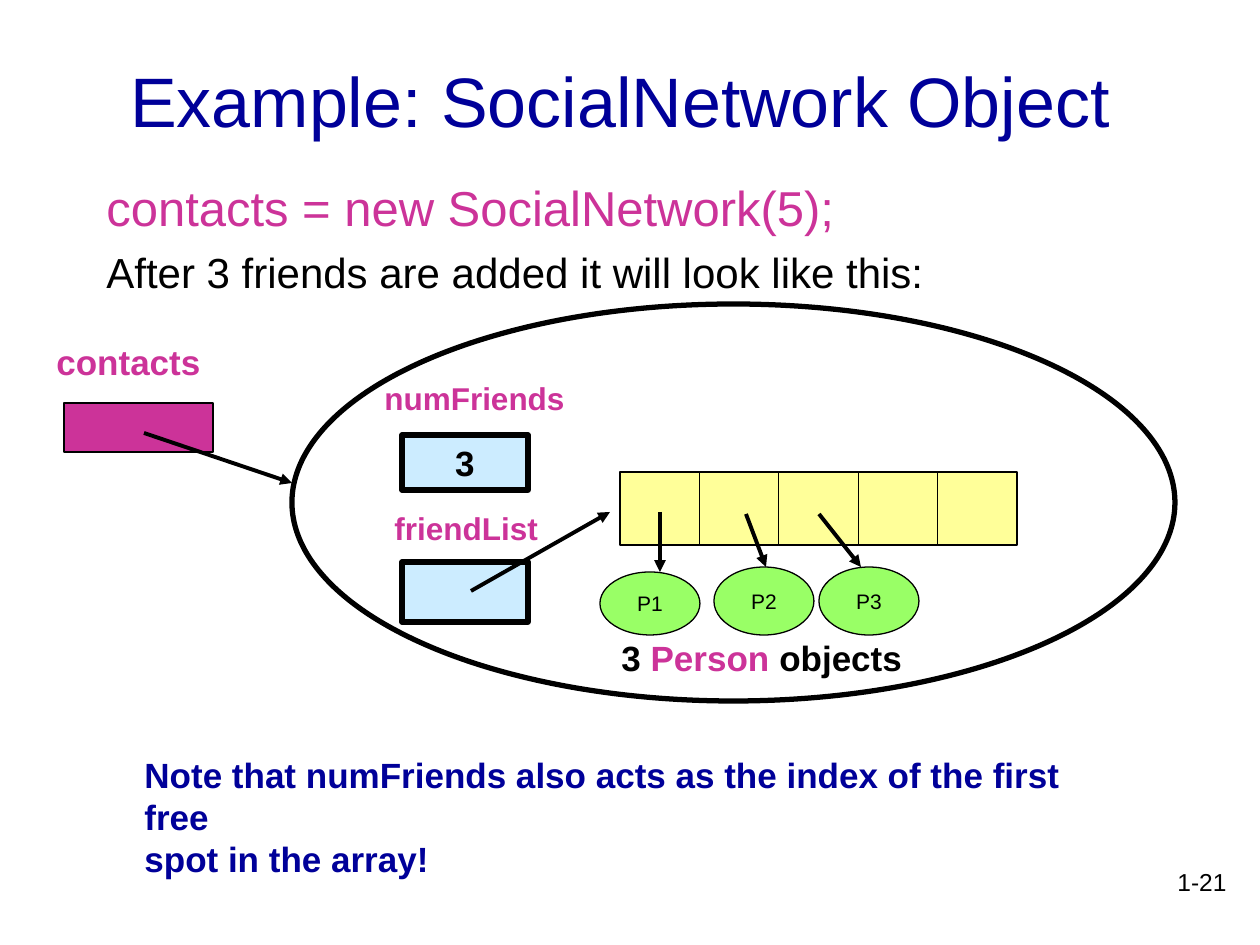
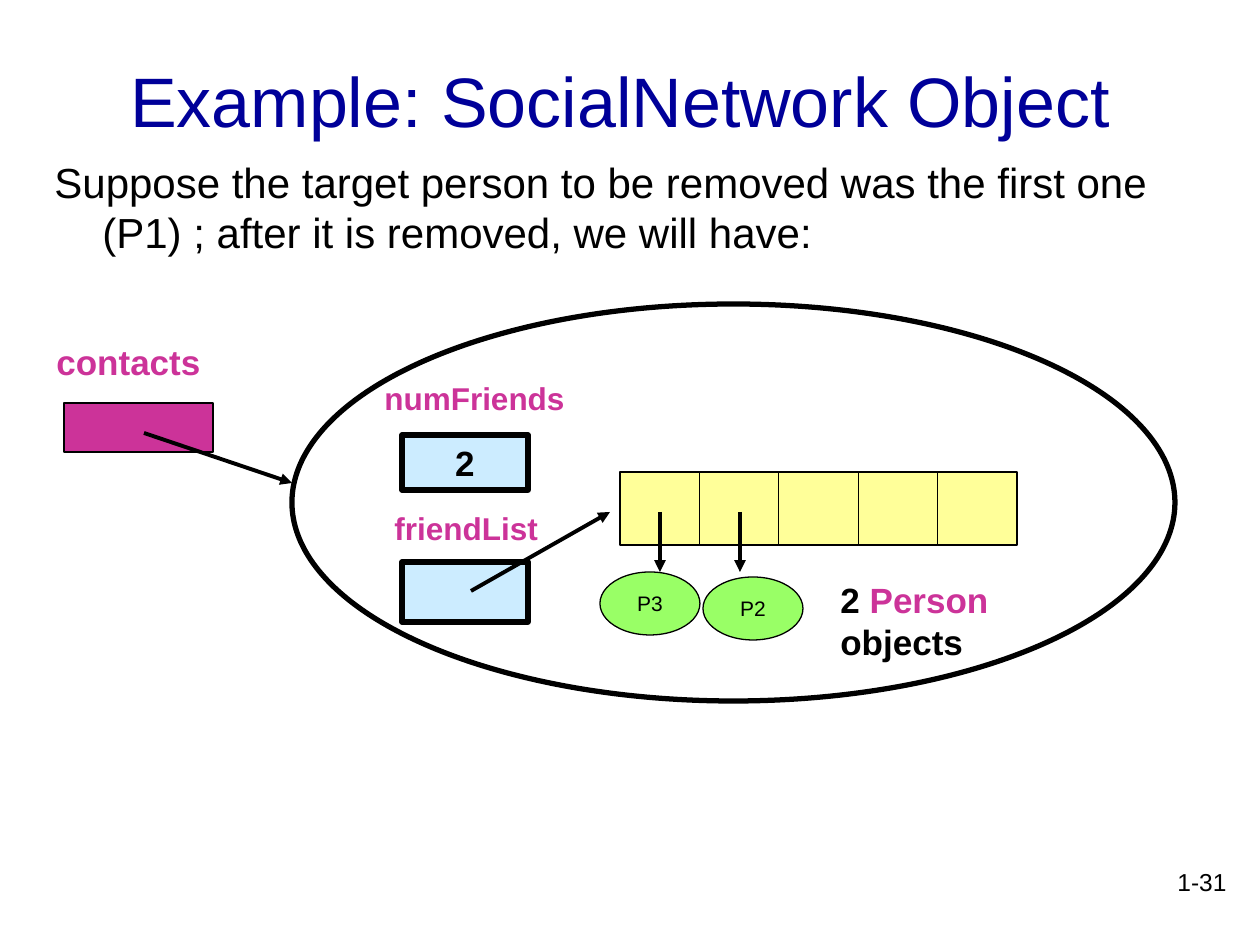
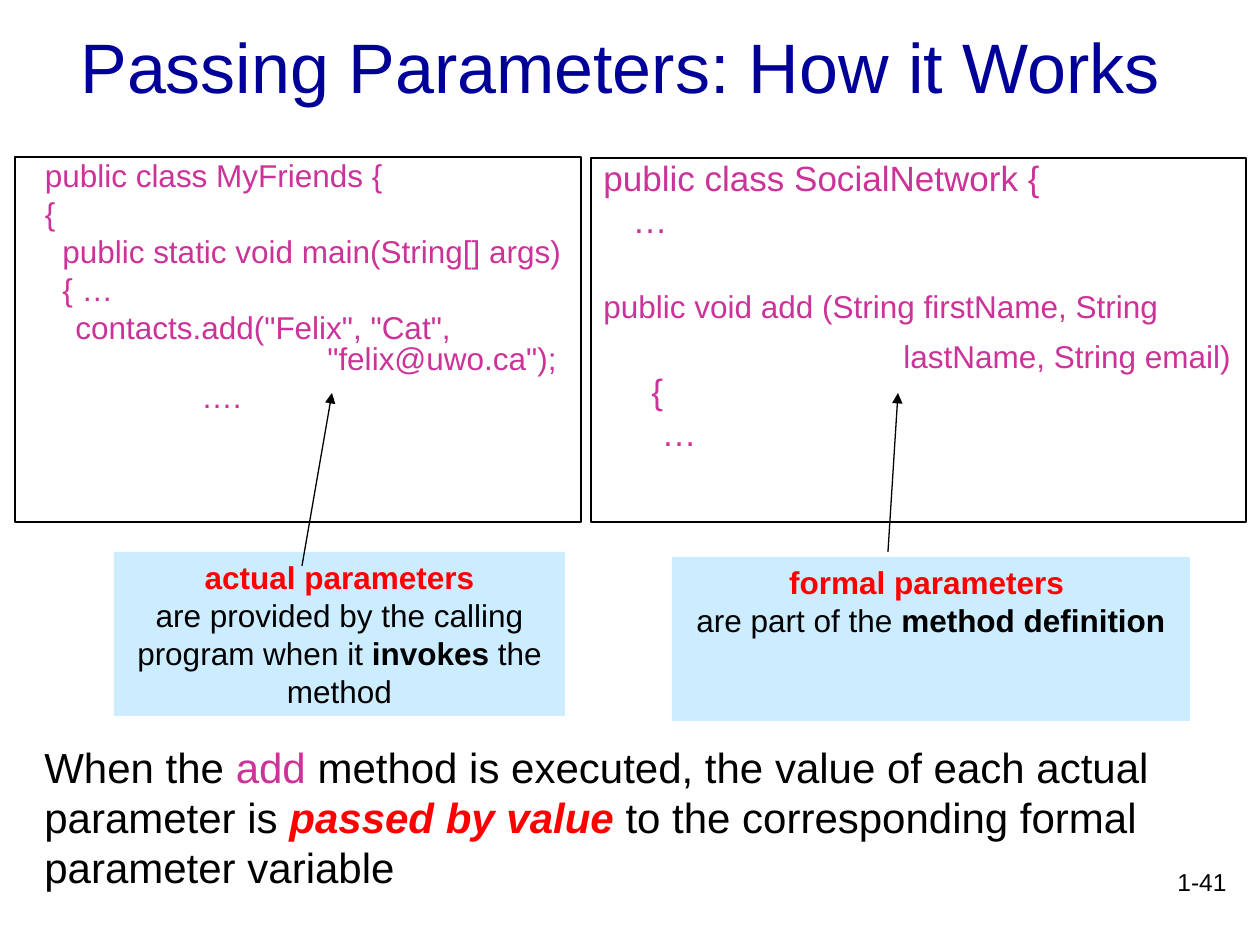
from dataclasses import dataclass

from lxml import etree
from pptx import Presentation, util as u
from pptx.dml.color import RGBColor
from pptx.enum import shapes, text
from pptx.oxml.ns import qn

BLACK, NAVY, PINK, RED = "000000", "000099", "CC3399", "FF0000"
SKY, YELLOW, GREEN = "CCECFF", "FFFF99", "99FF66"
FONT = "Arial"
RECT, OVAL = shapes.MSO_SHAPE.RECTANGLE, shapes.MSO_SHAPE.OVAL
LEFT, CENTER, RIGHT = text.PP_ALIGN.LEFT, text.PP_ALIGN.CENTER, text.PP_ALIGN.RIGHT


@dataclass
class Para:
    """A paragraph: runs are (text, colour, style); indents in px, space in pt."""
    runs: list
    size: int
    left: int = 0
    hang: int = 0
    before: float = 0
    spacing: float = 1


def line_of(words, size, color=BLACK, style="", **layout):
    return Para([(words, color, style)], size, **layout)


# Object diagrams: person = (label, box), arrow = (from x, from y, to x, to y)
DIAGRAMS = [
    dict(
        title="Example: SocialNetwork Object", number="1-21",
        intro=((94, 171, 1102, 140), [
            line_of("contacts = new SocialNetwork(5);", 28, PINK),
            line_of("After 3 friends are added it will look like this:", 24, before=6)]),
        people=[("P1", (600, 572, 100, 63)), ("P2", (714, 567, 100, 68)),
                ("P3", (819, 567, 100, 68))],
        arrows=[(660, 512, 660, 572), (746, 514, 766, 567), (819, 514, 861, 567)],
        caption=(609, 630, 428, 55),
        note=["Note that numFriends also acts as the index of the first free",
              "spot in the array!"]),
    dict(
        title="Example: SocialNetwork Object", number="1-31",
        intro=((42, 150, 1155, 140), [
            line_of("Suppose the target person to be removed was the first one (P1) ; "
                    "after it is removed, we will have:", 24, left=48, hang=48)]),
        people=[("P3", (600, 572, 100, 63)), ("P2", (703, 577, 100, 63))],
        arrows=[(660, 512, 660, 572), (740, 512, 740, 572)],
        caption=(828, 572, 208, 97),
        note=[]),
]
LABELS = [("contacts", 20, (44, 334, 200, 55)),
          ("friendList", 18, (382, 503, 220, 50)),
          ("numFriends", 18, (372, 373, 222, 50))]
ARRAY_BOX, ARRAY_LENGTH = (620, 472, 397, 73), 5
NOTE_BOX = (132, 747, 1014, 97)

# Code lines: (text, size, left indent, space before)
CODE_PANELS = [
    ((15, 157, 566, 365), [
        ("  public class MyFriends {", 18, 0, 0),
        ("  {", 18, 0, 4.5),
        ("    public static void main(String[] args)", 18, 0, 4.5),
        ("    { …", 18, 0, 4.5),
        ('contacts.add("Felix", "Cat",', 18, 48, 4.5),
        ('"felix@uwo.ca");', 18, 300, 0),
        ("….", 18, 174, 4.5)]),
    ((591, 158, 655, 364), [
        ("public class SocialNetwork {", 20, 0, 0),
        ("   …", 20, 0, 5),
        ("public void add (String firstName, String", 18, 0, 31),
        ("lastName, String email)", 18, 300, 11),
        ("{", 20, 48, 2),
        ("      …", 20, 0, 5)]),
]
CALLOUTS = [
    ((114, 552, 451, 164), "actual parameters",
     [("are provided by the calling program when it ", BLACK, ""),
      ("invokes", BLACK, "b"), (" the method", BLACK, "")]),
    ((672, 557, 518, 164), "formal parameters ",
     [("are part of the ", BLACK, ""), ("method definition", BLACK, "b")]),
]
CALLOUT_ARROWS = [(888, 552, 898, 393), (302, 566, 332, 393)]
CONCLUSION = ((32, 735, 1197, 164), [
    ("When the ", BLACK, ""), ("add", PINK, ""),
    (" method is executed, the value of each actual parameter is ", BLACK, ""),
    ("passed by value", RED, "bi"),
    (" to the corresponding formal parameter variable", BLACK, "")])


def px(v):
    return u.Emu(round(v * 914400 / 126))


def rgb(value):
    return RGBColor.from_string(value)


def write(sp, paras, align=LEFT, anchor=text.MSO_ANCHOR.TOP, wrap=True):
    tf = sp.text_frame
    tf.word_wrap = wrap
    tf.vertical_anchor = anchor
    for i, para in enumerate(paras):
        p = tf.add_paragraph() if i else tf.paragraphs[0]
        p.alignment = align
        p.space_before = u.Pt(para.before)
        p.line_spacing = para.spacing
        pPr = p._p.get_or_add_pPr()
        pPr.set("marL", str(px(para.left)))
        pPr.set("indent", str(px(-para.hang)))
        for words, color, style in para.runs:
            r = p.add_run()
            r.text = words
            r.font.name, r.font.size = FONT, u.Pt(para.size)
            r.font.color.rgb = rgb(color)
            r.font.bold, r.font.italic = "b" in style, "i" in style


def add_text(s, box, paras, **layout):
    write(s.shapes.add_textbox(*map(px, box)), paras, **layout)


def add_shape(s, kind, box, fill=None, line=0.75):
    sp = s.shapes.add_shape(kind, *map(px, box))
    sp.shadow.inherit = False
    if fill:
        sp.fill.solid()
        sp.fill.fore_color.rgb = rgb(fill)
    else:
        sp.fill.background()
    if line:
        sp.line.color.rgb = rgb(BLACK)
        sp.line.width = u.Pt(line)
    else:
        sp.line.fill.background()
    return sp


def add_arrow(s, ends, width=2.25):
    c = s.shapes.add_connector(shapes.MSO_CONNECTOR.STRAIGHT, *map(px, ends))
    c.line.color.rgb = rgb(BLACK)
    c.line.width = u.Pt(width)
    spPr = c._element.spPr
    etree.SubElement(spPr.find(qn("a:ln")), qn("a:tailEnd"), type="triangle")
    etree.SubElement(spPr, qn("a:effectLst"))


def add_slide(prs, title, number, title_top=21):
    s = prs.slides.add_slide(prs.slide_layouts[6])
    add_text(s, (977, 861, 262, 63), [line_of(number, 14)], align=RIGHT)
    add_text(s, (35, title_top, 1170, 158), [line_of(title, 40, NAVY)],
             align=CENTER, anchor=text.MSO_ANCHOR.MIDDLE)
    return s


def diagram_slide(prs, d):
    s = add_slide(prs, d["title"], d["number"])
    add_text(s, *d["intro"])
    count = str(len(d["people"]))

    add_shape(s, OVAL, (292, 304, 883, 397), line=3)
    add_shape(s, RECT, (64, 403, 149, 49), PINK)
    add_shape(s, RECT, (402, 562, 126, 60), SKY, 3)
    num_friends = add_shape(s, RECT, (402, 435, 126, 55), SKY, 3)
    write(num_friends, [line_of(count, 20, style="b")], CENTER, text.MSO_ANCHOR.MIDDLE)
    for words, size, box in LABELS:
        add_text(s, box, [line_of(words, size, PINK, "b")])

    x, y, w, h = ARRAY_BOX
    cell = w / ARRAY_LENGTH
    for i in range(ARRAY_LENGTH):
        add_shape(s, RECT, (x + i * cell, y, cell, h), YELLOW)
    for name, box in d["people"]:
        write(add_shape(s, OVAL, box, GREEN), [line_of(name, 12)],
              CENTER, text.MSO_ANCHOR.MIDDLE, wrap=False)
    for ends in [(144, 433, 292, 483), (471, 591, 610, 512)] + d["arrows"]:
        add_arrow(s, ends)

    add_text(s, d["caption"], [Para(
        [(count + " ", BLACK, "b"), ("Person ", PINK, "b"), ("objects", BLACK, "b")], 20)])
    if d["note"]:
        add_text(s, NOTE_BOX, [line_of(n, 20, NAVY, "b") for n in d["note"]], wrap=False)


def parameters_slide(prs):
    s = add_slide(prs, "Passing Parameters: How it Works", "1-41", title_top=-14)
    for box, code in CODE_PANELS:
        write(add_shape(s, RECT, box),
              [line_of(words, size, PINK, left=left, before=before, spacing=0.8)
               for words, size, left, before in code])
    for box, term, meaning in CALLOUTS:
        write(add_shape(s, RECT, box, SKY, line=0),
              [line_of(term, 18, RED, "b"), Para(meaning, 18)], CENTER)
    box, runs = CONCLUSION
    add_text(s, box, [Para(runs, 24)])
    for ends in CALLOUT_ARROWS:
        add_arrow(s, ends, 0.75)


def main():
    prs = Presentation()
    prs.slide_width, prs.slide_height = px(1260), px(945)
    for d in DIAGRAMS:
        diagram_slide(prs, d)
    parameters_slide(prs)
    prs.save("out.pptx")


if __name__ == "__main__":
    main()
